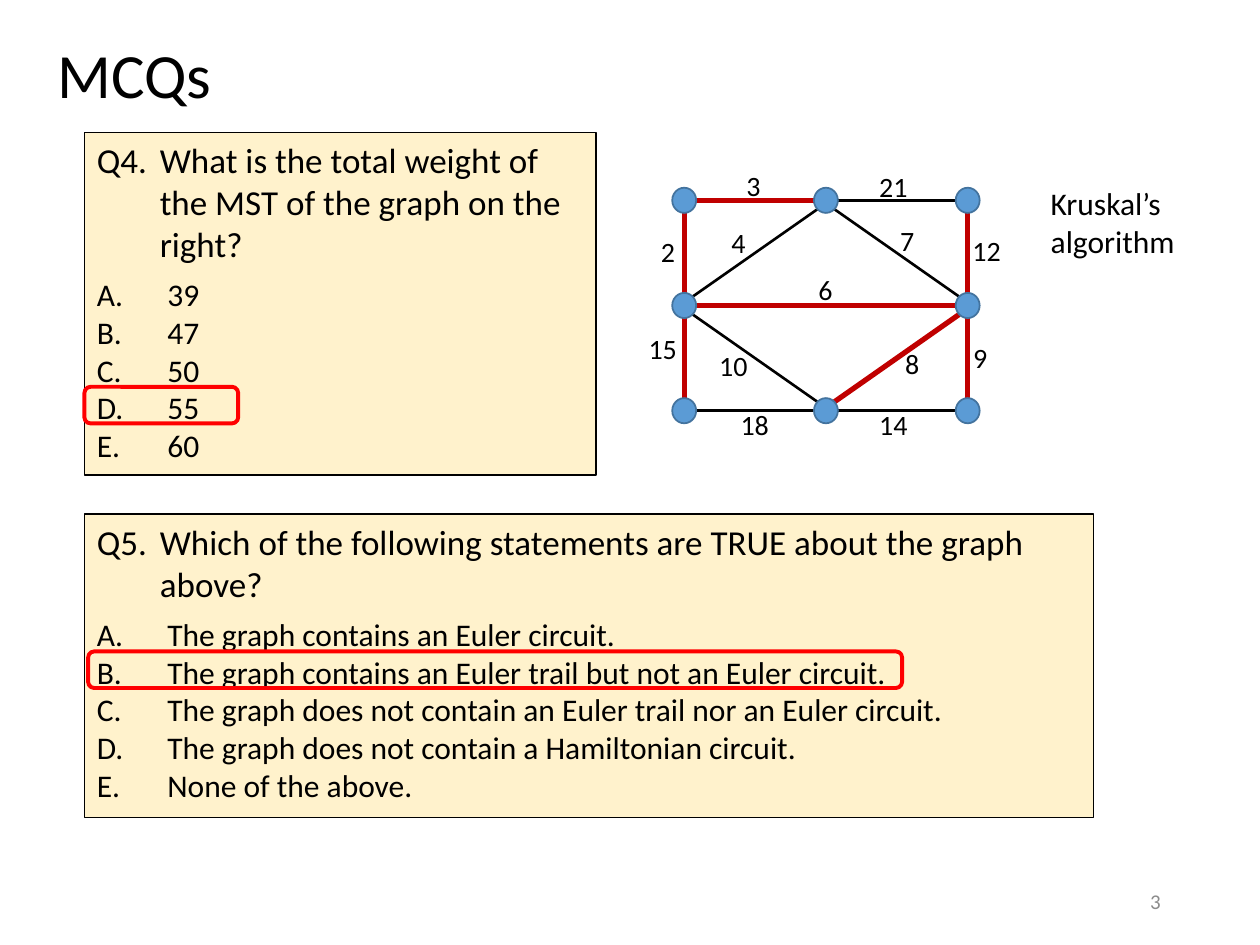
from lxml import etree
from pptx import Presentation
from pptx.dml.color import RGBColor
from pptx.enum.shapes import MSO_CONNECTOR, MSO_SHAPE
from pptx.enum.text import MSO_ANCHOR, PP_ALIGN
from pptx.oxml.ns import qn
from pptx.util import Inches, Pt

RECTANGLE, ROUNDED, OVAL = MSO_SHAPE.RECTANGLE, MSO_SHAPE.ROUNDED_RECTANGLE, MSO_SHAPE.OVAL
STRAIGHT = MSO_CONNECTOR.STRAIGHT
TOP, MIDDLE = MSO_ANCHOR.TOP, MSO_ANCHOR.MIDDLE
LEFT, CENTER, RIGHT = PP_ALIGN.LEFT, PP_ALIGN.CENTER, PP_ALIGN.RIGHT

FONT = "Calibri"
COLORS = {
    "text": "000000", "number": "8C8C8C", "panel": "FFF2CC", "vertex": "5B9BD5",
    "vertex_line": "43739E", "tree": "C00000", "answer": "FF0000",
}

QUESTIONS = [
    {
        "label": "Q4.",
        "text": "What is the total weight of the MST of the graph on the right?",
        "options": ["39", "47", "50", "55", "60"],
        "box": (0.67, 1.05, 4.06, 2.72),
        "answer_box": (0.67, 3.07, 1.22, 0.29),
    },
    {
        "label": "Q5.",
        "text": "Which of the following statements are TRUE about the graph above?",
        "options": [
            "The graph contains an Euler circuit.",
            "The graph contains an Euler trail but not an Euler circuit.",
            "The graph does not contain an Euler trail nor an Euler circuit.",
            "The graph does not contain a Hamiltonian circuit.",
            "None of the above.",
        ],
        "box": (0.67, 4.08, 8.01, 2.41),
        "answer_box": (0.7, 5.17, 6.46, 0.29),
    },
]

COLUMNS = (5.43, 6.555, 7.68)
ROWS = (1.59, 2.425, 3.26)
VERTICES = [(0, 0), (1, 0), (2, 0), (0, 1), (2, 1), (0, 2), (1, 2), (2, 2)]
VERTEX_WIDTH, VERTEX_HEIGHT = 0.19, 0.2
LABEL_HEIGHT = 0.37

# Each edge: start vertex, end vertex, weight, label centre, in spanning tree
EDGES = [
    ((1, 0), (2, 0), 21, (7.09, 1.48), False),
    ((0, 1), (1, 0), 4, (5.86, 1.93), False),
    ((1, 0), (2, 1), 7, (7.2, 1.91), False),
    ((0, 1), (1, 2), 10, (5.82, 2.9), False),
    ((0, 2), (1, 2), 18, (5.99, 3.37), False),
    ((1, 2), (2, 2), 14, (7.09, 3.37), False),
    ((0, 0), (1, 0), 3, (5.98, 1.47), True),
    ((0, 0), (0, 1), 2, (5.3, 2.0), True),
    ((0, 1), (2, 1), 6, (6.55, 2.3), True),
    ((0, 1), (0, 2), 15, (5.26, 2.77), True),
    ((2, 0), (2, 1), 12, (7.83, 1.99), True),
    ((1, 2), (2, 1), 8, (7.24, 2.89), True),
    ((2, 1), (2, 2), 9, (7.78, 2.84), True),
]


def color(name):
    return RGBColor.from_string(COLORS[name])


def add_run(paragraph, text, size, color_name="text"):
    run = paragraph.add_run()
    run.text = text
    run.font.name = FONT
    run.font.size = Pt(size)
    run.font.color.rgb = color(color_name)


def add_text(slide, box, text, size, align=LEFT, anchor=TOP, color_name="text"):
    frame = slide.shapes.add_textbox(*map(Inches, box)).text_frame
    frame.word_wrap = True
    frame.vertical_anchor = anchor
    paragraph = frame.paragraphs[0]
    paragraph.alignment = align
    add_run(paragraph, text, size, color_name)
    return paragraph


def add_shape(slide, kind, box, fill, line, width):
    shape = slide.shapes.add_shape(kind, *map(Inches, box))
    shape.shadow.inherit = False
    if fill:
        shape.fill.solid()
        shape.fill.fore_color.rgb = color(fill)
    else:
        shape.fill.background()
    shape.line.color.rgb = color(line)
    shape.line.width = Pt(width)
    return shape


def set_hanging_indent(paragraph, inches):
    properties = paragraph._p.get_or_add_pPr()
    properties.set("marL", str(Inches(inches)))
    properties.set("indent", str(-Inches(inches)))
    return properties


def add_question(slide, question):
    panel = add_shape(slide, RECTANGLE, question["box"], "panel", "text", 0.75)
    frame = panel.text_frame
    frame.word_wrap = True
    frame.vertical_anchor = TOP
    heading = frame.paragraphs[0]
    heading.alignment = LEFT
    heading.space_after = Pt(6)
    set_hanging_indent(heading, 0.5)
    add_run(heading, f"{question['label']}\t{question['text']}", 20)
    for option in question["options"]:
        paragraph = frame.add_paragraph()
        paragraph.alignment = LEFT
        properties = set_hanging_indent(paragraph, 0.56)
        etree.SubElement(properties, qn("a:buFont"), typeface="+mj-lt")
        etree.SubElement(properties, qn("a:buAutoNum"), type="alphaUcPeriod")
        add_run(paragraph, option, 18)


def sign(value):
    return (value > 0) - (value < 0)


def rim_point(vertex, toward):
    across, down = (sign(b - a) for a, b in zip(vertex, toward))
    reach = 0.71 if across and down else 1
    return (COLUMNS[vertex[0]] + across * reach * VERTEX_WIDTH / 2,
            ROWS[vertex[1]] + down * reach * VERTEX_HEIGHT / 2)


def add_edge(slide, start, end, in_tree):
    points = rim_point(start, end) + rim_point(end, start)
    edge = slide.shapes.add_connector(STRAIGHT, *map(Inches, points))
    edge.line.color.rgb = color("tree" if in_tree else "text")
    edge.line.width = Pt(3 if in_tree else 1.5)
    etree.SubElement(edge._element.spPr, qn("a:effectLst"))


def add_graph(slide):
    for start, end, _, _, in_tree in EDGES:
        add_edge(slide, start, end, in_tree)
    for column, row in VERTICES:
        box = (COLUMNS[column] - VERTEX_WIDTH / 2, ROWS[row] - VERTEX_HEIGHT / 2,
               VERTEX_WIDTH, VERTEX_HEIGHT)
        add_shape(slide, OVAL, box, "vertex", "vertex_line", 1)
    for _, _, weight, (x, y), _ in EDGES:
        width = 0.3 + 0.09 * len(str(weight))
        box = (x - width / 2, y - LABEL_HEIGHT / 2, width, LABEL_HEIGHT)
        add_text(slide, box, str(weight), 16, CENTER)


def main():
    presentation = Presentation()
    presentation.slide_width = Inches(10)
    presentation.slide_height = Inches(7.5)
    slide = presentation.slides.add_slide(presentation.slide_layouts[6])

    title = add_text(slide, (0.36, 0.2, 8.62, 0.84), "MCQs", 36, anchor=MIDDLE)
    title.line_spacing = 0.9
    for question in QUESTIONS:
        add_question(slide, question)
    add_graph(slide)
    for question in QUESTIONS:
        add_shape(slide, ROUNDED, question["answer_box"], None, "answer", 2.25)
    add_text(slide, (8.24, 1.41, 1.25, 0.71), "Kruskal’s algorithm", 18)
    add_text(slide, (7.06, 6.95, 2.25, 0.4), "3", 12, RIGHT, MIDDLE, "number")
    presentation.save("out.pptx")


if __name__ == "__main__":
    main()
